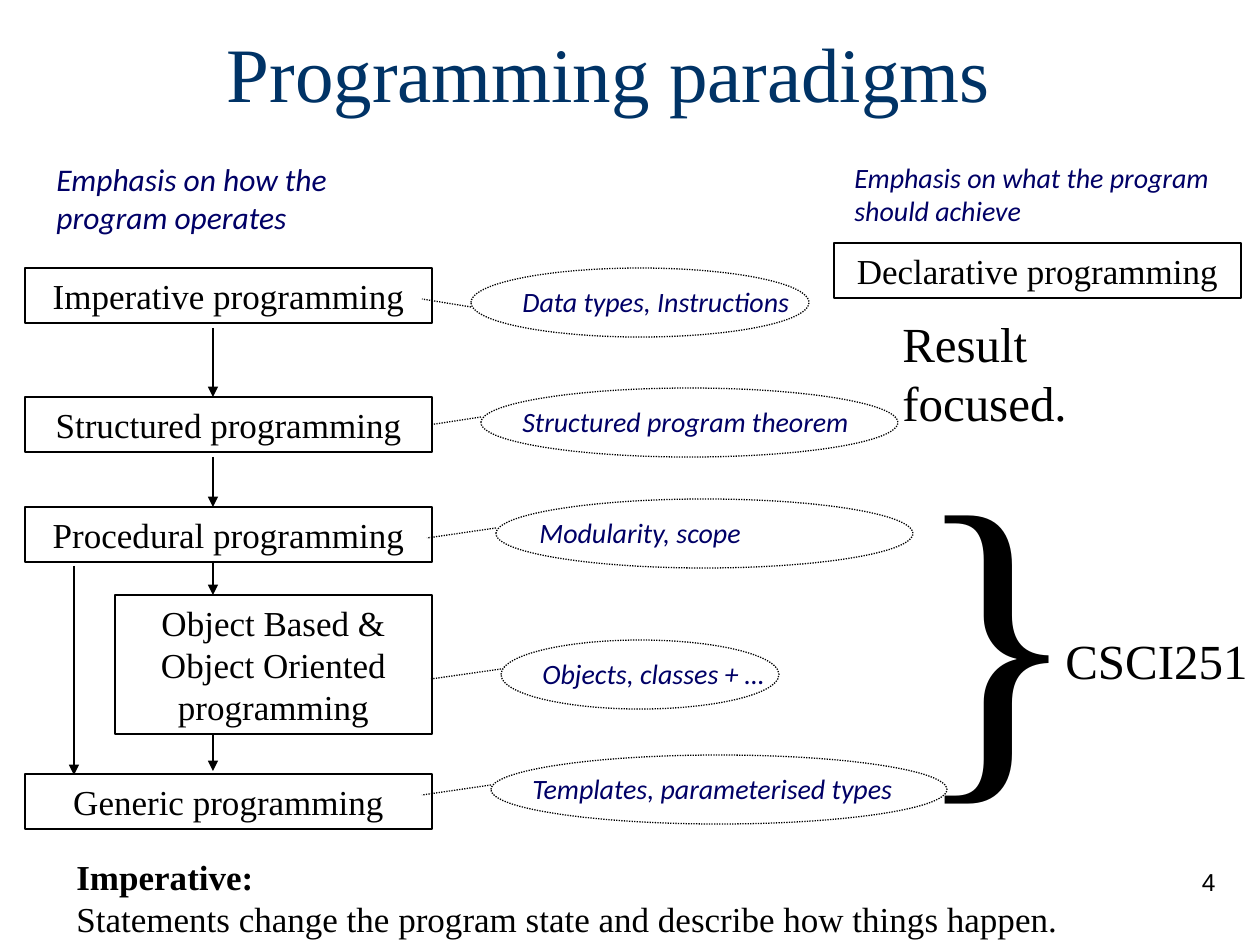
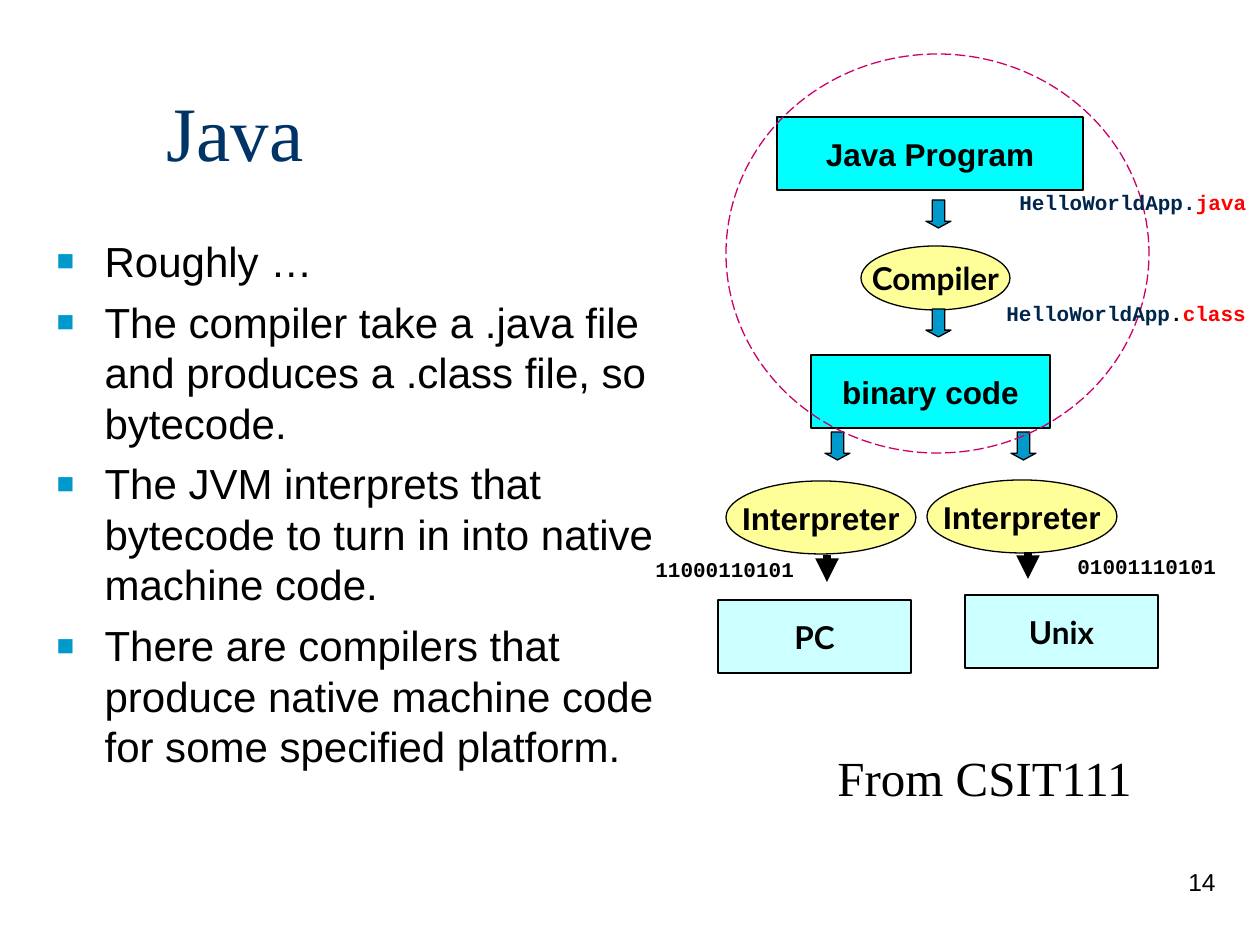
"""Build two lecture slides on programming paradigms and the Java toolchain."""
from lxml.etree import SubElement
from pptx import Presentation
from pptx.dml.color import RGBColor
from pptx.enum.dml import MSO_LINE as DASH
from pptx.enum.shapes import MSO_CONNECTOR as CONN, MSO_SHAPE as SHAPE
from pptx.enum.text import MSO_ANCHOR as ANCHOR, MSO_AUTO_SIZE as AUTO, PP_ALIGN as ALIGN
from pptx.oxml.ns import qn
from pptx.util import Emu, Pt

SCALE = 914400 / 126
BLACK, NAVY, TEAL, RED = "000000", "003366", "0099CC", "FF0000"
CYAN, PALE, YELLOW, PINK, INK = "00FFFF", "CCFFFF", "FFFF99", "CC0066", "00264D"
SERIF, SANS, MONO, LATO = "Times New Roman", "Arial", "Courier New", "Lato"

TITLE = dict(font=SERIF, size=44, color=NAVY)
BODY = dict(font=SANS, size=24)
BOX = dict(font=SERIF, size=20)
BIG = dict(font=SERIF, size=28)
BRACE = dict(font=SERIF, size=199)
NOTE = dict(font="Calibri", size=16, color="000066", italic=True)
LEAD = dict(NOTE, size=18)
NODE = dict(font=SANS, size=18, bold=True)
LATO_NODE = dict(NODE, font=LATO)
CODE = dict(font=MONO, size=12, bold=True)
NUMBER = dict(font=SANS, size=14)


def rgb(value):
    return RGBColor.from_string(value)


def px(*values):
    return [Emu(round(v * SCALE)) for v in values]


class Deck:
    def __init__(self):
        self.prs = Presentation()
        self.prs.slide_width, self.prs.slide_height = px(1260, 945)
        self.s = None

    def slide(self, layout, title, box, number):
        self.s = self.prs.slides.add_slide(self.prs.slide_layouts[layout])
        self.fill_placeholder(self.s.shapes.title, title, box, TITLE)
        self.s.shapes.title.text_frame.vertical_anchor = ANCHOR.MIDDLE
        self.text(number, (966, 861, 262, 63), NUMBER, ALIGN.RIGHT)

    def fill_placeholder(self, sp, text, box, style):
        sp.left, sp.top, sp.width, sp.height = px(*box)
        self.put_text(sp.text_frame, text, style)
        sp.text_frame.auto_size = AUTO.NONE

    def style_run(self, r, font, size, color=BLACK, bold=False, italic=False):
        r.font.name, r.font.size = font, Pt(size)
        r.font.bold, r.font.italic = bold, italic
        r.font.color.rgb = rgb(color)

    def put_text(self, tf, text, style, align=ALIGN.LEFT, wrap=True):
        tf.text = text
        tf.word_wrap = wrap
        for p in tf.paragraphs:
            p.alignment = align
            for r in p.runs:
                self.style_run(r, **style)

    def text(self, text, box, style, align=ALIGN.LEFT, wrap=True):
        tf = self.s.shapes.add_textbox(*px(*box)).text_frame
        self.put_text(tf, text, style, align, wrap)
        return tf

    def code(self, parts, box):
        p = self.text("", box, CODE, wrap=False).paragraphs[0]
        for text, color in parts:
            r = p.add_run()
            r.text = text
            self.style_run(r, **dict(CODE, color=color))

    def bullets(self, items, box):
        sp = self.s.placeholders[1]
        self.fill_placeholder(sp, "\n".join(items), box, BODY)
        for p in sp.text_frame.paragraphs:
            p.space_before = Pt(6)
            pPr = p._p.get_or_add_pPr()
            pPr.set("marL", str(px(48)[0]))
            pPr.set("indent", str(px(-48)[0]))
            SubElement(SubElement(pPr, qn("a:buClr")), qn("a:srgbClr"), val=TEAL)
            SubElement(pPr, qn("a:buSzPct"), val="70000")
            SubElement(pPr, qn("a:buFont"), typeface=SANS)
            SubElement(pPr, qn("a:buChar"), char="■")

    def shape(self, kind, box, fill=None, line=BLACK, dash=None):
        sp = self.s.shapes.add_shape(kind, *px(*box))
        sp.shadow.inherit = False
        if fill:
            sp.fill.solid()
            sp.fill.fore_color.rgb = rgb(fill)
        else:
            sp.fill.background()
        self.outline(sp.line, line, 0.75, dash)
        return sp

    def outline(self, line, color, width, dash):
        line.color.rgb = rgb(color)
        line.width = Pt(width)
        if dash:
            line.dash_style = dash

    def box(self, text, box):
        sp = self.shape(SHAPE.RECTANGLE, box)
        sp.text_frame.vertical_anchor = ANCHOR.TOP
        self.put_text(sp.text_frame, text, BOX, ALIGN.CENTER)
        return sp

    def node(self, kind, text, box, fill, style=NODE):
        sp = self.shape(kind, box, fill)
        sp.text_frame.vertical_anchor = ANCHOR.MIDDLE
        self.put_text(sp.text_frame, text, style, ALIGN.CENTER, wrap=False)

    def line(self, x1, y1, x2, y2, width=0.75, dash=None, arrow=False):
        c = self.s.shapes.add_connector(CONN.STRAIGHT, *px(x1, y1, x2, y2))
        self.outline(c.line, BLACK, width, dash)
        spPr = c.element.spPr
        if arrow:
            SubElement(spPr.find(qn("a:ln")), qn("a:tailEnd"), type="triangle")
        SubElement(spPr, qn("a:effectLst"))
        return c

    def callout(self, text, text_x, text_w, x, y, w, start_y, end):
        self.text(text, (text_x, y + 10, text_w, 47), NOTE)
        self.shape(SHAPE.OVAL, (x, y, w, 69), dash=DASH.ROUND_DOT)
        return self.line(x, start_y, *end, dash=DASH.ROUND_DOT)


def paradigms(d):
    d.slide(5, "Programming paradigms", (214, 5, 816, 134), "4")
    d.text("Emphasis on how the program operates", (44, 154, 403, 88), LEAD)
    d.text("Emphasis on what the program should achieve", (842, 154, 427, 81), NOTE)

    boxes = {}
    for name, x, y in [("Imperative", 25, 268), ("Structured", 25, 397),
                       ("Procedural", 25, 507), ("Generic", 25, 774),
                       ("Declarative", 834, 243)]:
        boxes[name] = d.box(f"{name} programming", (x, y, 407, 55))
    d.box("Object Based & Object Oriented programming", (115, 595, 317, 139))

    for x, y1, y2 in [(213, 328, 397), (213, 457, 507), (213, 561, 595),
                      (213, 735, 771), (74, 566, 775)]:
        d.line(x, y1, x, y2, arrow=True)

    d.callout("Data types, Instructions", 510, 297, 471, 268, 338, 307, (422, 299))
    theorem = d.callout("Structured program theorem", 510, 358, 481, 388, 417, 417, (432, 427))
    theorem.end_connect(boxes["Structured"], 3)
    d.callout("Modularity, scope", 527, 358, 496, 499, 417, 528, (427, 538))
    d.callout("Objects, classes + …", 530, 358, 501, 640, 278, 669, (431, 679))
    d.callout("Templates, parameterised types", 520, 466, 491, 755, 456, 785, (422, 795))

    d.text("Result focused.", (890, 307, 326, 72), BIG, wrap=False)
    d.text("}", (901, 403, 192, 431), BRACE, wrap=False)
    d.text("CSCI251", (1053, 624, 207, 72), BIG, wrap=False)
    tf = d.text("Imperative:\nStatements change the program state and describe how things happen.",
                (64, 849, 1022, 97), BOX)
    tf.paragraphs[0].runs[0].font.bold = True


def java(d):
    d.slide(1, "Java", (154, 52, 231, 158), "14")
    d.bullets(["Roughly …",
               "The compiler take a .java file and produces a .class file, so bytecode.",
               "The JVM interprets that bytecode to turn in into native machine code.",
               "There are compilers that produce native machine code for some specified platform."],
              (44, 229, 639, 586))

    d.node(SHAPE.RECTANGLE, "Java Program", (777, 117, 306, 73), CYAN)
    d.node(SHAPE.RECTANGLE, "binary code", (811, 355, 239, 73), CYAN)
    d.node(SHAPE.OVAL, "Compiler", (861, 246, 149, 64), YELLOW, LATO_NODE)
    for x, y in [(926, 200), (926, 309), (825, 432), (1011, 432)]:
        d.shape(SHAPE.DOWN_ARROW, (x, y, 25, 28), TEAL).adjustments[1] = 0.27

    for platform, oval_x, oval_y, box_x, box_y, arrow_x, arrow_y in [
            ("Unix", 927, 480, 965, 595, 1028, 552),
            ("PC", 726, 481, 718, 600, 827, 555)]:
        d.node(SHAPE.OVAL, "Interpreter", (oval_x, oval_y, 190, 73), YELLOW)
        d.node(SHAPE.RECTANGLE, platform, (box_x, box_y, 193, 73), PALE, LATO_NODE)
        d.line(arrow_x, arrow_y, arrow_x, arrow_y + 27, width=4.5, arrow=True)

    d.shape(SHAPE.OVAL, (726, 54, 423, 399), line=PINK, dash=DASH.LONG_DASH)
    d.code([("HelloWorldApp.", INK), ("java", RED)], (1007, 183, 252, 38))
    d.code([("HelloWorldApp", INK), (".", BLACK), ("class", RED)], (994, 294, 265, 38))
    d.code([("01001110101", BLACK)], (1065, 547, 164, 38))
    d.code([("11000110101", BLACK)], (643, 550, 164, 38))
    d.text("From CSIT111", (825, 741, 323, 72), BIG, wrap=False)


def main():
    d = Deck()
    paradigms(d)
    java(d)
    d.prs.save("out.pptx")


if __name__ == "__main__":
    main()
